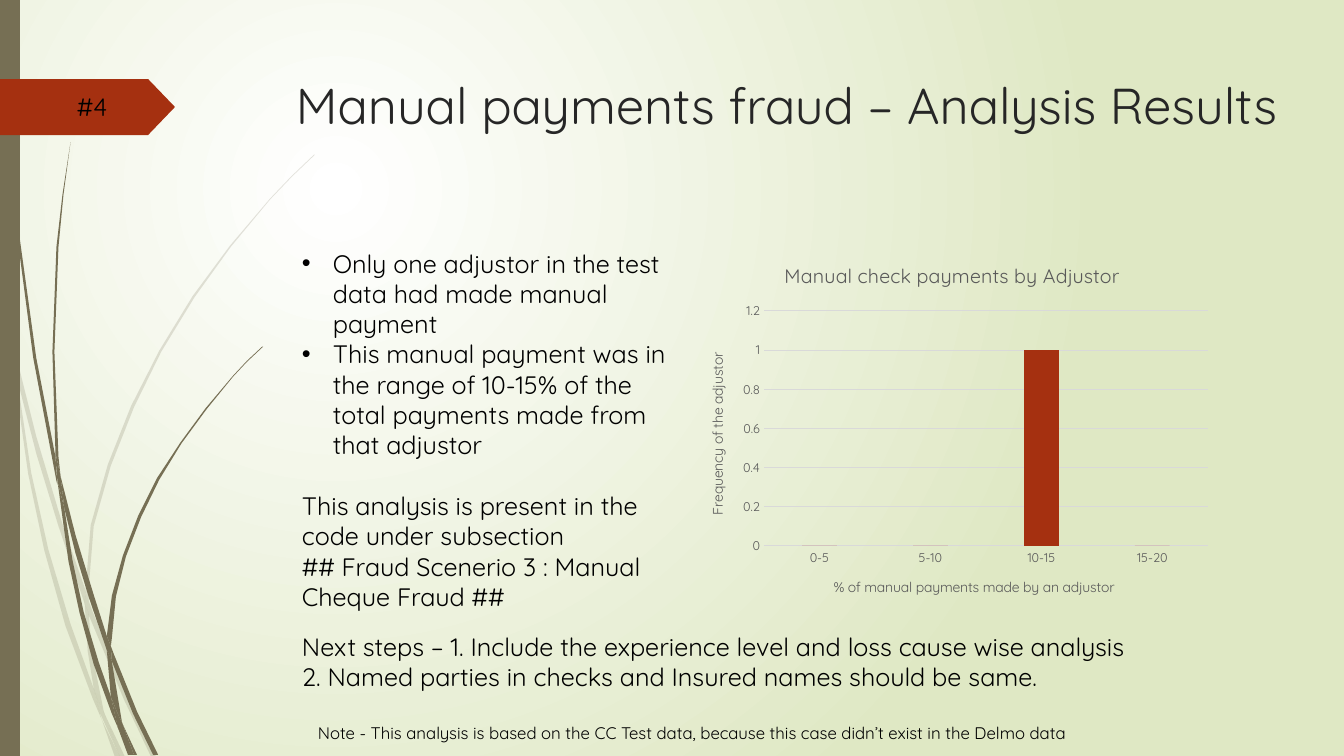
from dataclasses import dataclass

from lxml import etree
from pptx import Presentation
from pptx.chart.data import CategoryChartData
from pptx.dml.color import RGBColor
from pptx.enum.chart import XL_CHART_TYPE, XL_TICK_MARK
from pptx.enum.shapes import MSO_SHAPE
from pptx.oxml.ns import qn
from pptx.util import Emu, Pt

COLUMNS = XL_CHART_TYPE.COLUMN_CLUSTERED
NO_TICKS = XL_TICK_MARK.NONE
RECTANGLE = MSO_SHAPE.RECTANGLE
ARROW_TAG = MSO_SHAPE.PENTAGON
SCALE = 914400 / 100.8
WISP_SCALE = 9144
CHART_SIZE = (529, 371)


@dataclass(frozen=True)
class Theme:
    font: str = "Quicksand"
    bullet_font: str = "Arial"
    ink: str = "000000"
    heading: str = "262626"
    muted: str = "595959"
    grid: str = "D9D9D9"
    accent: str = "A53010"
    olive: str = "766F54"
    center: str = "FFFFFF"
    edge: str = "DFE8C4"
    title: int = 36
    body: int = 18
    chart_title: int = 14
    note: int = 12
    axis_title: int = 10
    tick: int = 9


def px(length):
    return Emu(round(length * SCALE))


def rgb(color):
    return RGBColor.from_string(color)


def style_font(font, size, color, name):
    font.size, font.name, font.color.rgb, font.bold = Pt(size), name, rgb(color), False


def write(para, text, size, color, font, bullet=None, before=0):
    span = para.add_run()
    span.text = text
    style_font(span.font, size, color, font)
    para.space_before = Pt(before)
    if bullet:
        props = para._p.get_or_add_pPr()
        props.set("marL", str(px(31)))
        props.set("indent", str(-px(31)))
        etree.SubElement(props, qn("a:buFont"), typeface=bullet)
        etree.SubElement(props, qn("a:buChar"), char="•")


def set_layout(parent, index, frame, inner=False):
    for old in parent.findall(qn("c:layout")):
        parent.remove(old)
    layout = etree.Element(qn("c:layout"))
    manual = etree.SubElement(layout, qn("c:manualLayout"))
    if inner:
        etree.SubElement(manual, qn("c:layoutTarget"), val="inner")
    for name in ("xMode", "yMode"):
        etree.SubElement(manual, qn(f"c:{name}"), val="edge")
    for name, length, whole in zip("xywh", frame, CHART_SIZE * 2):
        etree.SubElement(manual, qn(f"c:{name}"), val=str(length / whole))
    parent.insert(index, layout)


class Page:
    def __init__(self, slide, theme):
        self.slide, self.theme = slide, theme

    def backdrop(self):
        fill = self.slide.background.fill
        fill.gradient()
        for stop, color in zip(fill.gradient_stops, (self.theme.center, self.theme.edge)):
            stop.color.rgb = rgb(color)
        gradient = self.slide.element.find(f".//{qn('a:gradFill')}")
        for linear in gradient.findall(qn("a:lin")):
            gradient.remove(linear)
        radial = etree.SubElement(gradient, qn("a:path"), path="circle")
        etree.SubElement(radial, qn("a:fillToRect"), l="50000", t="50000", r="100000", b="100000")

    def paint(self, shape, color, opacity=100):
        shape.shadow.inherit = False
        shape.line.fill.background()
        shape.fill.solid()
        shape.fill.fore_color.rgb = rgb(color)
        if opacity < 100:
            tint = shape._element.spPr.find(f".//{qn('a:srgbClr')}")
            etree.SubElement(tint, qn("a:alpha"), val=str(opacity * 1000))

    def block(self, kind, left, top, width, height, color):
        shape = self.slide.shapes.add_shape(kind, *map(px, (left, top, width, height)))
        self.paint(shape, color)
        return shape

    def wisp(self, outline, opacity):
        builder = self.slide.shapes.build_freeform(*outline[0], scale=WISP_SCALE)
        builder.add_line_segments(outline[1:], close=True)
        self.paint(builder.convert_to_shape(), self.theme.olive, opacity)

    def text(self, left, top, width, height, paragraphs, size, color=None):
        box = self.slide.shapes.add_textbox(*map(px, (left, top, width, height)))
        frame = box.text_frame
        frame.word_wrap = True
        for number, (text, options) in enumerate(paragraphs):
            para = frame.add_paragraph() if number else frame.paragraphs[0]
            write(para, text, size, color or self.theme.ink, self.theme.font, **options)

    def caption(self, owner, text, size, spot):
        title = owner.axis_title if hasattr(owner, "axis_title") else owner.chart_title
        write(title.text_frame.paragraphs[0], text, size, self.theme.muted, self.theme.font)
        set_layout(title._element, 1, spot)
        return title

    def column_chart(self, left, top, title, category_title, value_title, values):
        theme = self.theme
        data = CategoryChartData()
        data.categories = list(values)
        data.add_series("Series 1", list(values.values()))
        chart = self.slide.shapes.add_chart(
            COLUMNS, *map(px, (left, top, *CHART_SIZE)), data).chart
        style_font(chart.font, theme.axis_title, theme.ink, theme.font)
        chart.has_legend = False
        self.caption(chart, title, theme.chart_title, (94, 12))
        category, value = chart.category_axis, chart.value_axis
        self.caption(category, category_title, theme.axis_title, (144, 329))
        upright = self.caption(value, value_title, theme.axis_title, (18, 104))
        upright.text_frame._txBody.bodyPr.set("rot", "-5400000")
        for axis in (category, value):
            axis.major_tick_mark = axis.minor_tick_mark = NO_TICKS
            style_font(axis.tick_labels.font, theme.tick, theme.muted, theme.font)
        value.minimum_scale, value.maximum_scale, value.major_unit = 0, 1.2, 0.2
        value.format.line.fill.background()
        for line in (category.format.line, value.major_gridlines.format.line):
            line.color.rgb, line.width = rgb(theme.grid), Pt(0.75)
        plot = chart.plots[0]
        plot.gap_width, plot.overlap, plot.vary_by_categories = 219, -27, False
        bars = plot.series[0].format.fill
        bars.solid()
        bars.fore_color.rgb = rgb(theme.accent)
        set_layout(chart._chartSpace.chart.plotArea, 0, (77, 65, 444, 235), inner=True)


PALE_WISPS = [
    [(11, 350), (9, 322), (0, 282), (0, 299), (10, 344)],
    [(58, 522), (84, 599), (85, 586), (62, 520), (36, 433), (14, 345), (17, 376), (36, 450)],
    [(92, 607), (88, 596), (88, 610), (123, 694), (150, 751), (155, 751), (127, 692)],
    [(119, 751), (124, 751), (105, 711)],
    [(93, 683), (70, 619), (48, 545), (31, 469), (17, 376), (11, 350), (28, 470), (44, 546),
     (65, 621), (92, 693), (101, 714), (99, 707)],
    [(84, 599), (87, 646), (93, 683), (96, 692), (105, 711), (103, 706), (91, 646), (88, 608)],
    [(88, 584), (93, 522), (110, 462), (133, 404), (160, 349), (193, 295), (229, 245), (268, 198),
     (290, 175), (312, 154), (312, 153), (289, 175), (268, 197), (228, 244), (191, 294),
     (158, 348), (130, 403), (107, 461), (90, 521), (85, 584), (88, 596)],
    [(101, 714), (114, 751), (119, 751)],
    [(88, 608), (88, 596), (85, 586), (84, 599)],
    [(96, 692), (93, 683), (99, 707), (119, 751), (105, 711)],
]
DARK_WISPS = [
    [(7, 110), (17, 233), (33, 355), (56, 477), (57, 481), (55, 453), (36, 355), (19, 232),
     (8, 109), (5, 48), (4, 0), (3, 0), (4, 48)],
    [(88, 592), (106, 645), (106, 631), (93, 590), (75, 531), (60, 472), (64, 505), (75, 549)],
    [(113, 649), (110, 641), (111, 656), (132, 708), (152, 749), (157, 749), (136, 706)],
    [(110, 691), (98, 657), (83, 607), (72, 556), (64, 505), (57, 477), (68, 557), (79, 608),
     (93, 659), (111, 708), (117, 722), (116, 717)],
    [(60, 472), (58, 453), (54, 349), (58, 245), (63, 193), (70, 141), (62, 193), (56, 245),
     (52, 349), (55, 449)],
    [(133, 749), (136, 749), (122, 719)],
    [(57, 477), (64, 505), (60, 472), (55, 449), (55, 453)],
    [(111, 633), (115, 592), (125, 552), (140, 513), (158, 476), (180, 440), (205, 406),
     (231, 374), (245, 359), (261, 344), (260, 344), (245, 358), (231, 373), (204, 405),
     (179, 439), (156, 474), (137, 512), (122, 551), (111, 591), (106, 631), (110, 641)],
    [(117, 722), (127, 749), (131, 749)],
    [(106, 645), (110, 691), (116, 706), (122, 719), (121, 716), (111, 656), (109, 651)],
    [(106, 645), (111, 656), (110, 641), (106, 631)],
    [(116, 706), (110, 691), (117, 722), (130, 749), (133, 749), (122, 719)],
]
theme = Theme()
FINDINGS = [
    ("Only one adjustor in the test data had made manual payment", {"bullet": theme.bullet_font}),
    ("This manual payment was in the range of 10-15% of the total payments made from "
     "that adjustor", {"bullet": theme.bullet_font}),
    ("This analysis is present in the code under subsection", {"before": 22}),
    ("## Fraud Scenerio 3 : Manual Cheque Fraud ##", {}),
]
NEXT_STEPS = [
    ("Next steps – 1. Include the experience level and loss cause wise analysis", {}),
    ("2. Named parties in checks and Insured names should be same.", {}),
]
NOTE = ("Note - This analysis is based on the CC Test data, because this case didn’t exist "
        "in the Delmo data")

deck = Presentation()
deck.slide_width, deck.slide_height = px(1344), px(756)
page = Page(deck.slides.add_slide(deck.slide_layouts[6]), theme)
page.backdrop()
for wisps, opacity in ((PALE_WISPS, 20), (DARK_WISPS, 100)):
    for outline in wisps:
        page.wisp(outline, opacity)
page.block(RECTANGLE, 0, 0, 20, 756, theme.olive)
page.block(ARROW_TAG, 0, 79, 175, 56, theme.accent).adjustments[0] = 0.48
page.text(286, 69, 1008, 141, [("Manual payments fraud – Analysis Results", {})],
          theme.title, theme.heading)
page.text(67, 86, 101, 40, [("#4", {})], theme.body)
page.text(292, 243, 387, 377, FINDINGS, theme.body)
page.text(308, 718, 876, 30, [(NOTE, {})], theme.note)
page.column_chart(687, 246, "Manual check payments by Adjustor",
                  "% of manual payments made by an adjustor", "Frequency of the adjustor",
                  {"0-5": 0, "5-10": 0, "10-15": 1, "15-20": 0})
page.text(292, 626, 914, 72, NEXT_STEPS, theme.body)
deck.save("out.pptx")
